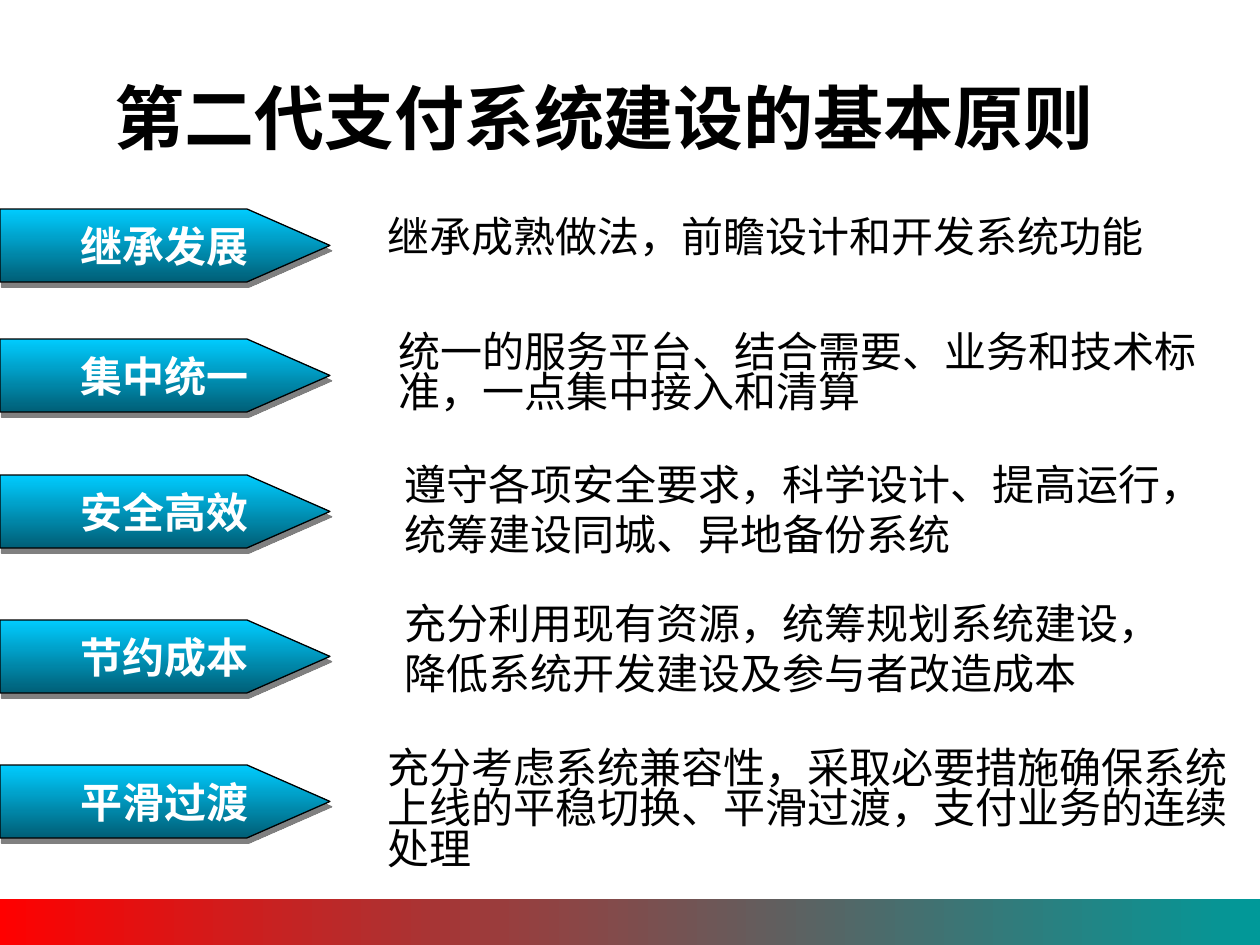
from lxml import etree
from pptx import Presentation
from pptx import util as u
from pptx.dml.color import RGBColor
from pptx.enum import shapes, text
from pptx.oxml import ns, parse_xml

EMU_PER_PX = 914400 / 126
COLORS = {
    "ink": "000000",
    "white": "FFFFFF",
    "red": "FF0000",
    "teal": "009999",
    "sky": "00CCFF",
    "deep": "005E76",
    "shadow": "808080",
}
CJK_FONT = "Noto Sans CJK SC"
BODY_FONT = "Times New Roman"
ARROW_WIDTH, ARROW_SHOULDER, ARROW_HEIGHT = 330, 247, 73

PRINCIPLES = [
    ("继承发展", 209, (375, 204, 781, 63), "继承成熟做法，前瞻设计和开发系统功能", 1, 0),
    ("集中统一", 339, (386, 329, 858, 93),
     "统一的服务平台、结合需要、业务和技术标准，一点集中接入和清算", 0.8, 6),
    ("安全高效", 475, (392, 452, 843, 113),
     "遵守各项安全要求，科学设计、提高运行，统筹建设同城、异地备份系统", 1, 6),
    ("节约成本", 620, (392, 591, 814, 113),
     "充分利用现有资源，统筹规划系统建设，降低系统开发建设及参与者改造成本", 1, 0),
    ("平滑过渡", 765, (375, 745, 885, 134),
     "充分考虑系统兼容性，采取必要措施确保系统上线的平稳切换、平滑过渡，支付业务的连续处理", 0.8, 6),
]


def px(value):
    return u.Emu(round(value * EMU_PER_PX))


def color(name):
    return RGBColor.from_string(COLORS[name])


def add_run(paragraph, content, size, font_name, color_name, bold=False):
    run = paragraph.add_run()
    run.text = content
    run.font.size = u.Pt(size)
    run.font.bold = bold
    run.font.color.rgb = color(color_name)
    run.font.name = font_name
    east_asian = etree.SubElement(run.font._element, ns.qn("a:ea"))
    east_asian.set("typeface", CJK_FONT)


def fill_gradient(shape, first, last, angle):
    shape.fill.gradient()
    shape.fill.gradient_angle = angle
    for stop, name in zip(shape.fill.gradient_stops, (first, last)):
        stop.color.rgb = color(name)


def add_shadow(shape):
    shape._element.spPr.append(parse_xml(
        f'<a:effectLst {ns.nsdecls("a")}>'
        '<a:outerShdw dist="40640" dir="4320000" algn="ctr" rotWithShape="0">'
        f'<a:srgbClr val="{COLORS["shadow"]}"/></a:outerShdw></a:effectLst>'))


def add_footer_bar(slide):
    bar = slide.shapes.add_shape(
        shapes.MSO_SHAPE.RECTANGLE, px(-4), px(899), px(1264), px(56))
    bar.shadow.inherit = False
    fill_gradient(bar, "red", "teal", 0)
    bar.line.fill.background()


def set_title(slide, content):
    title = slide.shapes.title
    title.left, title.top, title.width, title.height = map(px, (63, 38, 1082, 157))
    frame = title.text_frame
    frame.vertical_anchor = text.MSO_ANCHOR.MIDDLE
    paragraph = frame.paragraphs[0]
    paragraph.alignment = text.PP_ALIGN.CENTER
    add_run(paragraph, content, 40, "Arial", "ink", True)


def add_arrow(slide, top, label):
    bottom = top + ARROW_HEIGHT
    builder = slide.shapes.build_freeform(0, px(top))
    builder.add_line_segments([
        (px(ARROW_SHOULDER), px(top)),
        (px(ARROW_WIDTH), px(top + ARROW_HEIGHT / 2)),
        (px(ARROW_SHOULDER), px(bottom)),
        (0, px(bottom)),
    ], close=True)
    arrow = builder.convert_to_shape()
    fill_gradient(arrow, "sky", "deep", 270)
    arrow.line.color.rgb = color("ink")
    arrow.line.width = u.Pt(0.75)
    add_shadow(arrow)
    frame = arrow.text_frame
    frame.word_wrap = False
    frame.vertical_anchor = text.MSO_ANCHOR.MIDDLE
    paragraph = frame.paragraphs[0]
    paragraph.alignment = text.PP_ALIGN.CENTER
    add_run(paragraph, label, 24, CJK_FONT, "white", True)


def add_description(slide, box, content, line_spacing, space_after):
    frame = slide.shapes.add_textbox(*map(px, box)).text_frame
    frame.word_wrap = True
    frame.auto_size = text.MSO_AUTO_SIZE.SHAPE_TO_FIT_TEXT
    paragraph = frame.paragraphs[0]
    paragraph.line_spacing = line_spacing
    paragraph.space_after = u.Pt(space_after)
    add_run(paragraph, content, 24, BODY_FONT, "ink")


def main():
    presentation = Presentation()
    presentation.slide_width = px(1260)
    presentation.slide_height = px(945)
    slide = presentation.slides.add_slide(presentation.slide_layouts[5])
    add_footer_bar(slide)
    set_title(slide, "第二代支付系统建设的基本原则")
    for label, arrow_top, box, content, line_spacing, space_after in PRINCIPLES:
        add_arrow(slide, arrow_top, label)
        add_description(slide, box, content, line_spacing, space_after)
    presentation.save("out.pptx")


if __name__ == "__main__":
    main()
